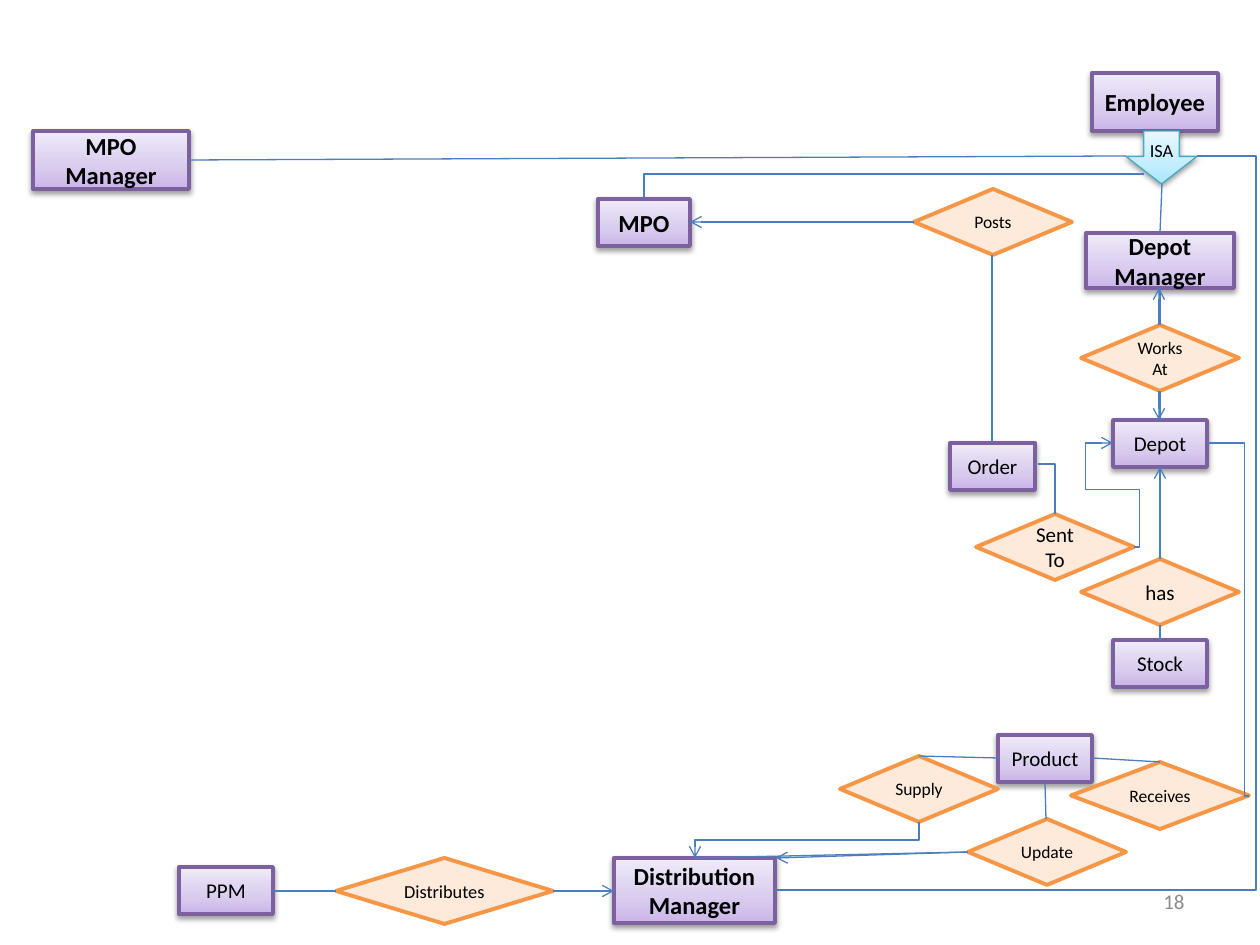
from copy import deepcopy

from lxml import etree
from pptx import Presentation
from pptx.dml.color import RGBColor
from pptx.enum.shapes import MSO_CONNECTOR, MSO_SHAPE
from pptx.enum.text import MSO_ANCHOR, PP_ALIGN
from pptx.oxml.ns import qn
from pptx.util import Emu, Pt

PX = 914400 / 126
RECT, DIAMOND, ARROW = (MSO_SHAPE.RECTANGLE, MSO_SHAPE.FLOWCHART_DECISION,
                        MSO_SHAPE.DOWN_ARROW)
STRAIGHT, ELBOW = MSO_CONNECTOR.STRAIGHT, MSO_CONNECTOR.ELBOW
CENTER, RIGHT, MIDDLE = PP_ALIGN.CENTER, PP_ALIGN.RIGHT, MSO_ANCHOR.MIDDLE

BLACK = RGBColor(0x00, 0x00, 0x00)
GRAY = RGBColor(0x8C, 0x8C, 0x8C)
BLUE = RGBColor(0x4B, 0x7E, 0xBC)
PURPLE = RGBColor(0x7D, 0x60, 0xA0)
TEAL = RGBColor(0x46, 0xAA, 0xC5)
ORANGE = RGBColor(0xF7, 0x96, 0x46)
PEACH = RGBColor(0xFD, 0xEA, 0xDA)
LILACS = [RGBColor(0xC9, 0xB5, 0xE8), RGBColor(0xD8, 0xCB, 0xEE),
          RGBColor(0xF0, 0xEA, 0xF9)]
AQUAS = [RGBColor(0xA7, 0xE6, 0xFF), RGBColor(0xC1, 0xED, 0xFF),
         RGBColor(0xE7, 0xF8, 0xFF)]
STOPS = (0, 0.35, 1)

# text, left, top, width, height in px; people are bold
PEOPLE = [
    ("Employee", 1092, 73, 126, 58),
    ("MPO", 598, 199, 92, 47),
    ("MPO Manager", 33, 131, 156, 58),
    ("Depot Manager", 1086, 233, 148, 55),
    ("Distribution Manager", 614, 858, 161, 65),
]
THINGS = [
    ("Product", 998, 735, 94, 47),
    ("Depot", 1113, 420, 94, 47),
    ("PPM", 179, 867, 94, 47),
    ("Stock", 1113, 640, 94, 47),
    ("Order", 950, 443, 85, 47),
]
# text, left, top, width, height in px, font size
RELATIONS = [
    ("Update", 968, 819, 158, 66, 10),
    ("Supply", 840, 756, 158, 66, 10),
    ("Receives", 1071, 762, 178, 67, 10),
    ("Distributes", 336, 858, 217, 66, 10.5),
    ("has", 1081, 559, 158, 66, 12),
    ("Works At", 1081, 325, 158, 66, 10),
    ("Posts", 914, 189, 158, 66, 10),
    ("Sent To", 976, 514, 158, 66, 12),
]
# from x, y, to x, y in px
LINES = [
    (1126, 156, 189, 160),
    (1162, 184, 1160, 233),
    (694, 858, 968, 852),
    (1045, 782, 1046, 819),
    (919, 756, 998, 758),
    (1160, 762, 1092, 758),
    (614, 891, 553, 891),
    (336, 891, 273, 891),
    (1160, 467, 1160, 559),
    (1160, 625, 1160, 640),
    (1160, 288, 1160, 325),
    (1160, 391, 1160, 420),
    (992, 255, 992, 443),
]
ARROWS = [
    (968, 852, 776, 858),
    (553, 891, 614, 891),
    (1160, 559, 1160, 467),
    (914, 222, 690, 222),
    (1159, 325, 1159, 288),
    (1159, 391, 1159, 420),
]
# ends in px, preset, adjustments, starts vertically, has arrowhead
ELBOWS = [
    ((644, 199, 1144, 174), "bentConnector2", (), True, False),
    ((1197, 156, 775, 890), "bentConnector3", (-0.14,), False, False),
    ((1207, 443, 1249, 796), "bentConnector3", (0.9,), False, False),
    ((919, 822, 695, 858), "bentConnector3", (0.5,), True, True),
    ((1038, 464, 1055, 514), "bentConnector2", (), False, False),
    ((1134, 547, 1113, 443), "bentConnector5", (-0.25, 0.55, 2.32), False, True),
]


def px(n):
    return Emu(round(n * PX))


def sub(parent, tag, **attrs):
    return etree.SubElement(parent, qn(tag), {k: str(v) for k, v in attrs.items()})


def write(s, text, size, bold=False, color=BLACK, align=CENTER, wrap=True):
    tf = s.text_frame
    tf.word_wrap = wrap
    tf.vertical_anchor = MIDDLE
    p = tf.paragraphs[0]
    p.alignment = align
    r = p.add_run()
    r.text = text
    r.font.name, r.font.size, r.font.bold = "Calibri", Pt(size), bold
    r.font.color.rgb = color


def add_node(slide, kind, box, line, width):
    s = slide.shapes.add_shape(kind, *map(px, box))
    s.shadow.inherit = False
    s.line.color.rgb = line
    s.line.width = Pt(width)
    return s


def shade(s, colors):
    """Fill upwards with a three-stop gradient and drop a soft shadow."""
    s.fill.gradient()
    s.fill.gradient_angle = 90
    sp_pr = s._element.spPr
    stop_list = sp_pr.find(".//" + qn("a:gsLst"))
    stop_list.insert(1, deepcopy(stop_list[0]))
    for stop, position, color in zip(s.fill.gradient_stops, STOPS, colors):
        stop.position = position
        stop.color.rgb = color
    shadow = sub(sp_pr.find(qn("a:effectLst")), "a:outerShdw", blurRad=40000,
                 dist=20000, dir=5400000, rotWithShape=0)
    sub(sub(shadow, "a:srgbClr", val="000000"), "a:alpha", val=38000)


def add_line(slide, kind, ends, arrow):
    c = slide.shapes.add_connector(kind, *map(px, ends))
    c.line.color.rgb = BLUE
    c.line.width = Pt(0.75)
    if arrow:
        sub(c.line._get_or_add_ln(), "a:tailEnd", type="arrow")
    sub(c._element.spPr, "a:effectLst")
    return c


def add_elbow(slide, ends, preset, adjustments, vertical, arrow):
    """Bent connector; one that starts vertically is a quarter turn of a flat one."""
    x1, y1, x2, y2 = ends
    if vertical:
        cx, cy, dx, dy = (x1 + x2) / 2, (y1 + y2) / 2, y2 - y1, x1 - x2
        ends = cx - dx / 2, cy - dy / 2, cx + dx / 2, cy + dy / 2
    c = add_line(slide, ELBOW, ends, arrow)
    sp_pr = c._element.spPr
    if vertical:
        sp_pr.find(qn("a:xfrm")).set("rot", "5400000")
    geom = sp_pr.find(qn("a:prstGeom"))
    geom.set("prst", preset)
    guides = geom.find(qn("a:avLst"))
    for i, value in enumerate(adjustments, 1):
        sub(guides, "a:gd", name=f"adj{i}", fmla=f"val {round(value * 100000)}")


def main():
    prs = Presentation()
    prs.slide_width, prs.slide_height = px(1260), px(945)
    slide = prs.slides.add_slide(prs.slide_layouts[6])

    for group, size, bold in ((PEOPLE, 14, True), (THINGS, 12, False)):
        for text, *box in group:
            s = add_node(slide, RECT, box, PURPLE, 2.25)
            shade(s, LILACS)
            write(s, text, size, bold)

    isa = add_node(slide, ARROW, (1126, 131, 71, 53), TEAL, 0.75)
    isa.adjustments[0], isa.adjustments[1] = 0.5, 0.52
    shade(isa, AQUAS)
    write(isa, "ISA", 10.5, wrap=False)

    for text, *box, size in RELATIONS:
        s = add_node(slide, DIAMOND, box, ORANGE, 2.25)
        s.fill.solid()
        s.fill.fore_color.rgb = PEACH
        write(s, text, size)

    for group, arrow in ((LINES, False), (ARROWS, True)):
        for ends in group:
            add_line(slide, STRAIGHT, ends, arrow)
    for elbow in ELBOWS:
        add_elbow(slide, *elbow)

    number = slide.shapes.add_textbox(px(903), px(876), px(294), px(50))
    write(number, "18", 12, color=GRAY, align=RIGHT)
    prs.save("out.pptx")


if __name__ == "__main__":
    main()
